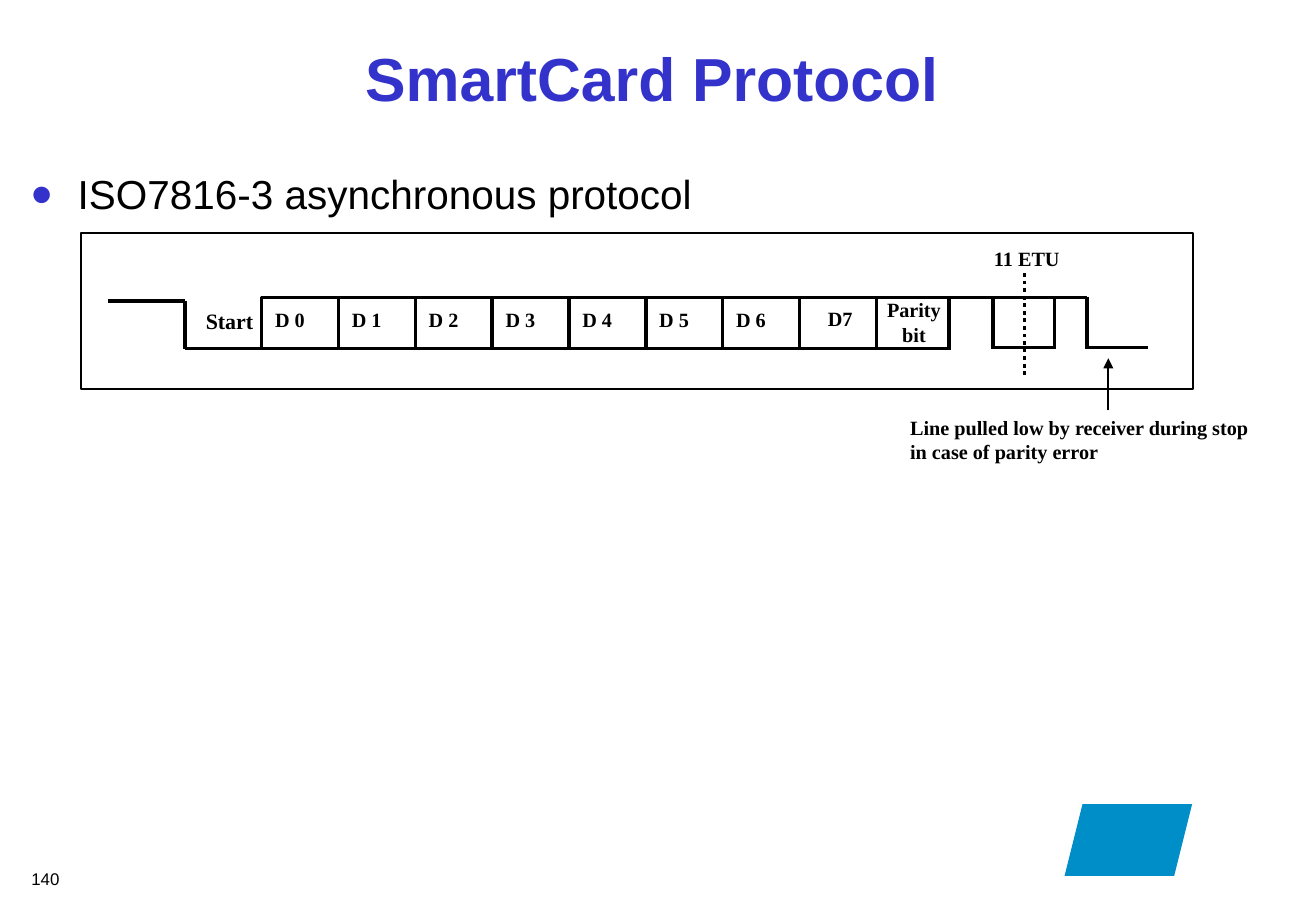
from dataclasses import dataclass

import pptx
import pptx.dml.color
import pptx.enum.dml
import pptx.enum.shapes
import pptx.enum.text
import pptx.oxml
import pptx.oxml.ns
import pptx.util

RGBColor = pptx.dml.color.RGBColor
ALIGN = pptx.enum.text.PP_ALIGN
SHAPE = pptx.enum.shapes.MSO_SHAPE
NS = pptx.oxml.ns.nsdecls("a")

BLACK = RGBColor(0x00, 0x00, 0x00)
WHITE = RGBColor(0xFF, 0xFF, 0xFF)
BLUE = RGBColor(0x33, 0x33, 0xCC)
LOGO_BLUE = RGBColor(0x00, 0x8E, 0xC9)

SANS = "Arial"
SERIF = "Times New Roman"
SLIDE_W, SLIDE_H = 10.84, 7.5
LEFT, HIGH = 0.89, 2.45
COL, ROW = 4.43 / 7, 0.42
DATA_COL, DATA_BITS = 2, 8


@dataclass
class Line:
    x1: float
    y1: float
    x2: float
    y2: float
    width: float = 2.25
    dotted: bool = False
    arrow: bool = False


@dataclass
class Label:
    lines: list[str]
    x: float
    y: float
    w: float
    h: float
    align: ALIGN = ALIGN.LEFT
    size: int = 12
    inset_x: float = 0
    inset_y: float = 0
    font: str = SERIF
    bold: bool = True


LINES = [
    Line(0, 0.07, 1, 0.07),
    Line(1, 0.07, 1, 1),
    Line(1, 1, 2, 1),
    Line(10, 0, 12.74, 0),
    Line(10, 1, 10.97, 1),
    Line(10.95, 0, 10.95, 1),
    Line(11.52, 0, 11.52, 1),
    Line(11.52, 0.98, 12.34, 0.98),
    Line(12.32, 0, 12.32, 1),
    Line(12.74, -0.02, 12.74, 1),
    Line(12.74, 0.98, 13.53, 0.98),
    Line(11.93, -0.48, 11.93, 1.57, dotted=True),
    Line(13.02, 2.21, 13.02, 1.19, width=1, arrow=True),
]

LABELS = [
    Label(["Start"], 0.87, 0.07, 1.42, 0.76, ALIGN.CENTER, 13, 0.11, 0.05),
    Label(["D7"], 8.96, 0.05, 1.14, 0.74, ALIGN.CENTER, 12, 0.11, 0.05),
    Label(["Parity", "bit"], 9.99, 0, 1, 0.95, ALIGN.CENTER),
    Label(["11 ETU"], 11.53, -1, 0.98, 0.48),
    Label(["Line pulled low by receiver during stop in case of parity error"],
          10.44, 2.31, 4.49, 0.95),
] + [
    Label([f"D {bit}"], DATA_COL + bit, 0.07, 1.14, 0.74, inset_x=0.11, inset_y=0.05)
    for bit in range(DATA_BITS - 1)
]


def inch(value: float) -> pptx.util.Length:
    return pptx.util.Inches(value)


def at(col: float, row: float) -> tuple:
    return inch(LEFT + col * COL), inch(HIGH + row * ROW)


def cells(col: float, row: float, w: float, h: float) -> tuple:
    return *at(col, row), inch(w * COL), inch(h * ROW)


def percent(x: float, y: float, w: float, h: float) -> tuple:
    return tuple(inch(v * side / 100) for v, side in
                 zip((x, y, w, h), (SLIDE_W, SLIDE_H) * 2))


def add_run(p, text: str, font: str, size: int, color: RGBColor, bold: bool = False):
    r = p.add_run()
    r.text = text
    r.font.name = font
    r.font.size = pptx.util.Pt(size)
    r.font.bold = bold
    r.font.color.rgb = color
    return r


def place(sp, box: tuple) -> None:
    sp.left, sp.top, sp.width, sp.height = box


def add_box(s, box: tuple, kind=SHAPE.RECTANGLE, fill: RGBColor | None = None,
            line: float = 0):
    sp = s.shapes.add_shape(kind, *box)
    sp.shadow.inherit = False
    if fill is None:
        sp.fill.background()
    else:
        sp.fill.solid()
        sp.fill.fore_color.rgb = fill
    if line:
        sp.line.color.rgb = BLACK
        sp.line.width = pptx.util.Pt(line)
    else:
        sp.line.fill.background()
    return sp


def add_line(s, line: Line) -> None:
    sp = s.shapes.add_connector(pptx.enum.shapes.MSO_CONNECTOR.STRAIGHT,
                                *at(line.x1, line.y1), *at(line.x2, line.y2))
    sp.line.color.rgb = BLACK
    sp.line.width = pptx.util.Pt(line.width)
    if line.dotted:
        sp.line.dash_style = pptx.enum.dml.MSO_LINE.ROUND_DOT
    if line.arrow:
        sp.line._get_or_add_ln().append(
            pptx.oxml.parse_xml(f'<a:tailEnd {NS} type="triangle"/>'))
    sp._element.spPr.append(pptx.oxml.parse_xml(f"<a:effectLst {NS}/>"))


def add_label(s, label: Label, box: tuple) -> None:
    tf = s.shapes.add_textbox(*box).text_frame
    tf.word_wrap = True
    tf.margin_left = tf.margin_right = inch(label.inset_x)
    tf.margin_top = tf.margin_bottom = inch(label.inset_y)
    for i, text in enumerate(label.lines):
        p = tf.add_paragraph() if i else tf.paragraphs[0]
        p.alignment = label.align
        add_run(p, text, label.font, label.size, BLACK, label.bold)


def add_title(s) -> None:
    sp = s.shapes.title
    place(sp, percent(6.64, 1.33, 85.79, 14.4))
    tf = sp.text_frame
    tf.vertical_anchor = pptx.enum.text.MSO_ANCHOR.MIDDLE
    tf.auto_size = pptx.enum.text.MSO_AUTO_SIZE.NONE
    p = tf.paragraphs[0]
    p.alignment = ALIGN.CENTER
    r = add_run(p, "SmartCard Protocol", SANS, 36, BLUE, True)
    r.font._element.find(pptx.oxml.ns.qn("a:solidFill")).addnext(pptx.oxml.parse_xml(
        f'<a:effectLst {NS}><a:outerShdw dist="35921" dir="2700000">'
        '<a:srgbClr val="C0C0C0"/></a:outerShdw></a:effectLst>'))


def add_body(s) -> None:
    sp = s.placeholders[1]
    place(sp, percent(1.48, 18.53, 84.96, 6.13))
    tf = sp.text_frame
    tf.auto_size = pptx.enum.text.MSO_AUTO_SIZE.NONE
    p = tf.paragraphs[0]
    pPr = p._p.get_or_add_pPr()
    pPr.set("marL", str(inch(0.38)))
    pPr.set("indent", str(inch(-0.38)))
    p.line_spacing = 0.9
    p.space_before = pptx.util.Pt(0)
    p.space_after = pptx.util.Pt(4.5)
    for bullet in (f'<a:buClr {NS}><a:srgbClr val="{BLUE}"/></a:buClr>',
                   f'<a:buSzPct {NS} val="150000"/>',
                   f'<a:buFont {NS} typeface="{SANS}"/>',
                   f'<a:buChar {NS} char="•"/>'):
        pPr.append(pptx.oxml.parse_xml(bullet))
    add_run(p, "ISO7816-3 asynchronous protocol", SANS, 24, BLACK)


def main() -> None:
    prs = pptx.Presentation()
    prs.slide_width, prs.slide_height = inch(SLIDE_W), inch(SLIDE_H)
    s = prs.slides.add_slide(prs.slide_layouts[1])
    add_box(s, percent(80.9, 88.27, 9.69, 7.87), SHAPE.PARALLELOGRAM, LOGO_BLUE)
    add_title(s)
    add_body(s)
    add_box(s, cells(-0.35, -1.26, 14.47, 3.05), fill=WHITE, line=1)
    for bit in range(DATA_BITS):
        add_box(s, cells(DATA_COL + bit, 0, 1, 1), line=2)
    for line in LINES:
        add_line(s, line)
    for label in LABELS:
        add_label(s, label, cells(label.x, label.y, label.w, label.h))
    number = Label(["140"], 1.48, 94.67, 4.8, 3.6, size=10, inset_x=0.1,
                   inset_y=0.05, font=SANS, bold=False)
    add_label(s, number, percent(number.x, number.y, number.w, number.h))
    prs.save("out.pptx")


if __name__ == "__main__":
    main()
